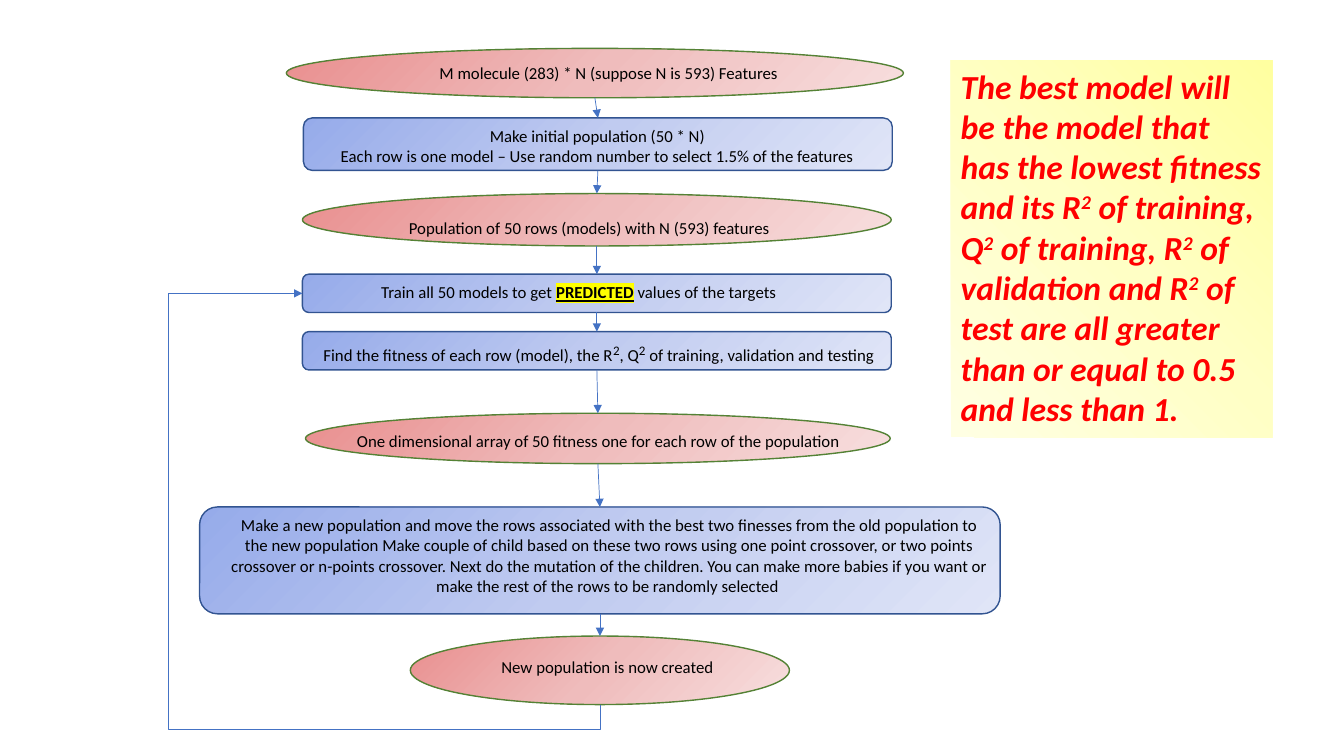
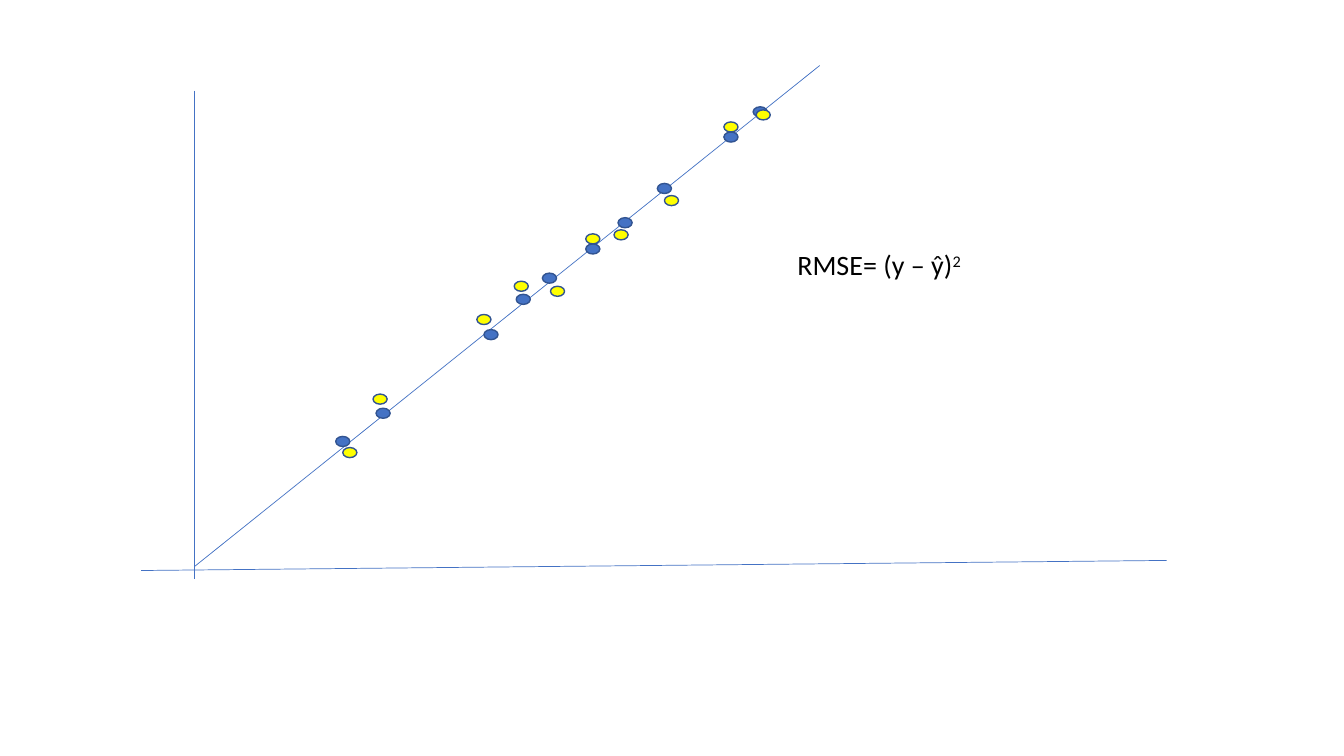
from lxml import etree
from pptx import Presentation
from pptx.dml.color import RGBColor
from pptx.enum.dml import MSO_THEME_COLOR
from pptx.enum.shapes import MSO_CONNECTOR as CONN, MSO_SHAPE as SHAPE
from pptx.enum.text import MSO_AUTO_SIZE as AUTO, PP_ALIGN as ALIGN
from pptx.oxml import parse_xml
from pptx.oxml.ns import nsdecls, qn
from pptx.util import Inches, Pt

FONT = "Calibri"
BLACK = RGBColor(0x00, 0x00, 0x00)
RED = RGBColor(0xFF, 0x00, 0x00)
YELLOW = RGBColor(0xFF, 0xFF, 0x00)
BLUE = RGBColor(0x44, 0x72, 0xC4)
NAVY = RGBColor(0x32, 0x54, 0x91)
GREEN = RGBColor(0x54, 0x82, 0x35)

# Gradient stops at 0, 50 and 100 %
PINKS = [RGBColor.from_string(c) for c in ("E98F8F", "EFBCBC", "F7DEDE")]
BLUES = [RGBColor.from_string(c) for c in ("96ABEA", "C0CBF0", "E0E5F7")]
CREAMS = [RGBColor.from_string(c) for c in ("FFFFA0", "FFFFC5", "FFFFE3")]

# Kinds of flow step: preset, gradient, outline
DATA = (SHAPE.OVAL, PINKS, GREEN)
ACTION = (SHAPE.ROUNDED_RECTANGLE, BLUES, NAVY)

SUP = {"sup": True}
BIG_SUP = {"sup": True, "size": Pt(16)}
MARKED = {"bold": True, "underline": True, "mark": YELLOW}

# kind, box in the flow, text box in the step, wrap, paragraphs of runs
STEPS = [
    (DATA, (1.17, 0, 6.12, 0.49), (1.42, 0.09, 3.69, 0.3), False,
     [["M molecule (283) * N (suppose N is 593) Features"]]),
    (ACTION, (1.34, 0.69, 5.84, 0.52), (-0.01, 0.03, 5.85, 0.5), True,
     [["Make initial population (50 * N)"],
      ["Each row is one model – Use random number to select 1.5% of the features"]]),
    (DATA, (1.33, 1.44, 5.84, 0.52), (0.5, 0.19, 4.69, 0.3), True,
     [["Population of 50 rows (models) with N (593) features"]]),
    (ACTION, (1.33, 2.24, 5.84, 0.38), (0.61, 0.03, 4.26, 0.3), False,
     [["Train all 50 models to get ", ("PREDICTED", MARKED),
       " values of the targets"]]),
    (ACTION, (1.33, 2.81, 5.84, 0.38), (0.06, 0.03, 5.76, 0.3), False,
     [["Find the fitness of each row (model), the R", ("2", BIG_SUP), ", Q",
       ("2", BIG_SUP), " of training, validation and testing"]]),
    (DATA, (1.36, 3.62, 5.8, 0.5), (0.38, 0.12, 5.09, 0.3), False,
     [["One dimensional array of 50 fitness one for each row of the population "]]),
    (ACTION, (0.31, 4.55, 7.94, 1.06), (0.19, 0.03, 7.75, 0.91), True,
     [["Make a new population and move the rows associated with the best two "
       "finesses from the old population to the new population Make couple of "
       "child based on these two rows using one point crossover, or two points "
       "crossover or n-points crossover. Next do the mutation of the children. "
       "You can make more babies if you want or make the rest of the rows to be "
       "randomly selected "]]),
    (DATA, (2.4, 5.83, 3.76, 0.68), (0.8, 0.16, 2.31, 0.3), False,
     [["New population is now created"]]),
]
LOOP_TARGET = 3
LOOP_DROP = 0.25

NOTE = [["The best model will be the model that has the lowest fitness and its R",
         ("2", SUP), " of training, Q", ("2", SUP), " of training, R", ("2", SUP),
         " of validation and R", ("2", SUP),
         " of test are all greater than or equal to 0.5 and less than 1."]]

# Left and top of each dot in the plot
OBSERVED = [(6.07, 0.41), (5.78, 0.66), (5.12, 1.17), (4.73, 1.51), (4.41, 1.77),
            (3.98, 2.06), (3.72, 2.27), (3.4, 2.62), (2.33, 3.4), (1.93, 3.68)]
PREDICTED = [(6.1, 0.44), (5.78, 0.56), (5.19, 1.29), (4.69, 1.63), (4.41, 1.67),
             (4.06, 2.19), (3.7, 2.14), (3.33, 2.47), (2.3, 3.26), (2, 3.79)]
DOT = (0.14, 0.1)
# y axis, x axis, fitted line
PLOT_LINES = [(0.53, 0.25, 0.53, 5.09), (0, 5.01, 10.17, 4.91), (6.73, 0, 0.53, 4.97)]


def inches(*values):
    """Turn plain numbers into lengths."""
    return [Inches(v) for v in values]


def within(box, part):
    """Move a part's box from its parent's corner to the slide's corner."""
    return (box[0] + part[0], box[1] + part[1], *part[2:])


def gradient(sp, colors, focus):
    """Fill a shape with a radial gradient that starts at a corner."""
    stops = "".join(f'<a:gs pos="{i * 50000}"><a:srgbClr val="{c}"/></a:gs>'
                    for i, c in enumerate(colors))
    rect = " ".join(f'{side}="100000"' for side in focus)
    sp.fill.background()
    spPr = sp._element.spPr
    spPr.replace(spPr.find(qn("a:noFill")), parse_xml(
        f'<a:gradFill {nsdecls("a")} rotWithShape="1"><a:gsLst>{stops}</a:gsLst>'
        f'<a:path path="circle"><a:fillToRect {rect}/></a:path></a:gradFill>'))


def add_run(p, text, color, **fmt):
    """Add one run; sup raises it and mark highlights it."""
    sup, mark = fmt.pop("sup", False), fmt.pop("mark", None)
    r = p.add_run()
    r.text = text
    r.font.color.rgb = color
    for name, value in fmt.items():
        setattr(r.font, name, value)
    rPr = r.font._element
    if sup:
        rPr.set("baseline", "30000")
    if mark is not None:
        rPr.find(qn("a:solidFill")).addnext(parse_xml(
            f'<a:highlight {nsdecls("a")}><a:srgbClr val="{mark}"/></a:highlight>'))


def add_text(slide, box, paragraphs, size, color=BLACK, align=None, wrap=True, **fmt):
    """Add a text box; each run is a string or a (string, format) pair."""
    sp = slide.shapes.add_textbox(*inches(*box))
    tf = sp.text_frame
    tf.word_wrap = wrap
    tf.auto_size = AUTO.SHAPE_TO_FIT_TEXT
    for i, runs in enumerate(paragraphs):
        p = tf.add_paragraph() if i else tf.paragraphs[0]
        p.alignment = align
        for run in runs:
            text, extra = (run, {}) if isinstance(run, str) else run
            add_run(p, text, color, **{"size": Pt(size), "name": FONT, **fmt, **extra})
    return sp


def add_preset(slide, preset, box, outline):
    """Add an outlined preset shape without shadow."""
    sp = slide.shapes.add_shape(preset, *inches(*box))
    sp.shadow.inherit = False
    sp.line.color.rgb = outline
    sp.line.width = Pt(1)
    return sp


def add_line(slide, points, kind=CONN.STRAIGHT, arrow=False):
    """Add a thin blue connector, with an arrowhead if asked for."""
    c = slide.shapes.add_connector(kind, *inches(*points))
    c.line.color.rgb = BLUE
    c.line.width = Pt(0.5)
    if arrow:
        etree.SubElement(c.line._get_or_add_ln(), qn("a:tailEnd"), type="triangle")
    etree.SubElement(c._element.spPr, qn("a:effectLst"))
    return c


def add_loop(slide, start, end, left):
    """Add the arrow that runs below and left of the flow, back to a step."""
    (sx, sy), (ex, ey) = start, end
    w, h = sy - ey, sx - ex
    x, y = (sx + ex - w) / 2, (sy + ey - h) / 2
    c = add_line(slide, (x, y, x + w, y + h), CONN.ELBOW, True)
    spPr = c._element.spPr
    xfrm = spPr.find(qn("a:xfrm"))
    xfrm.set("rot", "5400000")
    xfrm.set("flipH", "1")
    adjusts = (-LOOP_DROP / w, (sx - left) / h)
    guides = "".join(f'<a:gd name="adj{i}" fmla="val {round(a * 100000)}"/>'
                     for i, a in enumerate(adjusts, 1))
    spPr.replace(spPr.find(qn("a:prstGeom")), parse_xml(
        f'<a:prstGeom {nsdecls("a")} prst="bentConnector4">'
        f'<a:avLst>{guides}</a:avLst></a:prstGeom>'))


def add_flow(slide, box):
    """Draw the steps, the arrows between them and the loop back."""
    boxes = [within(box, step[1]) for step in STEPS]
    for (kind, _, label, wrap, text), place in zip(STEPS, boxes):
        preset, colors, outline = kind
        gradient(add_preset(slide, preset, place, outline), colors, "rb")
        add_text(slide, within(place, label), text, 12, wrap=wrap,
                 align=None if place is boxes[0] else ALIGN.CENTER)
    tops = [(x + w / 2, y) for x, y, w, h in boxes]
    bottoms = [(x + w / 2, y + h) for x, y, w, h in boxes]
    for start, end in zip(bottoms, tops[1:]):
        add_line(slide, (*start, *end), arrow=True)
    x, y, _, h = boxes[LOOP_TARGET]
    add_loop(slide, bottoms[-1], (x, y + h / 2), box[0])


def add_note(slide, box):
    """Draw the yellow note on the best model."""
    sp = add_text(slide, box, NOTE, 24, RED, bold=True, italic=True)
    gradient(sp, CREAMS, "lb")


def add_plot(slide, box):
    """Draw the axes, the fitted line, the dots and the formula."""
    x, y = box[:2]
    for x1, y1, x2, y2 in PLOT_LINES:
        add_line(slide, (x + x1, y + y1, x + x2, y + y2))
    for dots, color in ((OBSERVED, BLUE), (PREDICTED, YELLOW)):
        for dot in dots:
            sp = add_preset(slide, SHAPE.OVAL, within(box, dot + DOT), NAVY)
            sp.fill.solid()
            sp.fill.fore_color.rgb = color
    add_text(slide, within(box, (6.41, 1.76, 2.36, 0.44)),
             [["RMSE= (y – y\u0302)", ("2", SUP)]], 20)


prs = Presentation()
prs.slide_width, prs.slide_height = inches(13.33, 7.5)
blank = prs.slide_layouts[6]

flow_slide = prs.slides.add_slide(blank)
add_flow(flow_slide, (1.67, 0.48))
add_note(flow_slide, (9.43, 0.6, 3.19, 3.74))

plot_slide = prs.slides.add_slide(blank)
add_plot(plot_slide, (1.4, 0.65))

prs.save("out.pptx")
